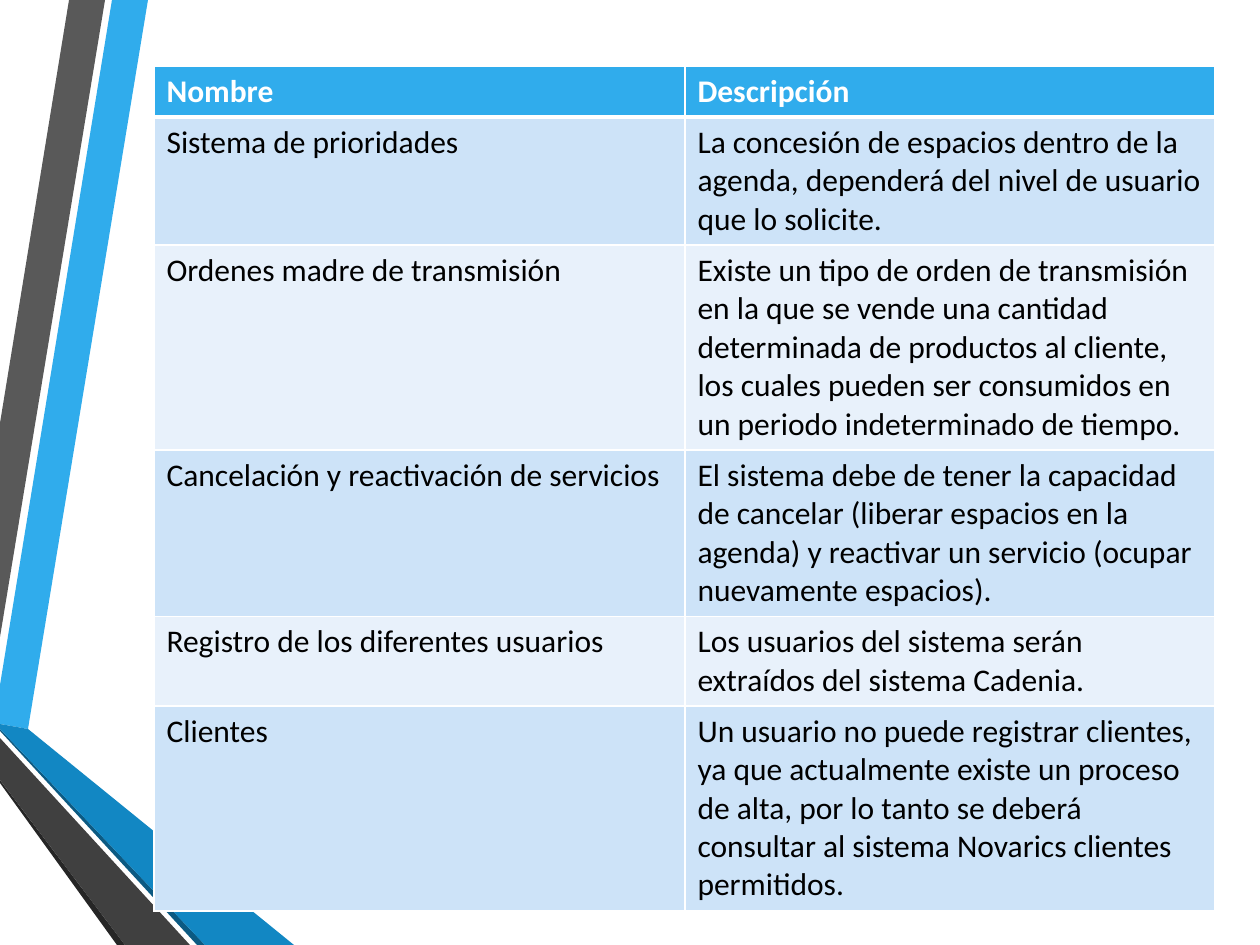
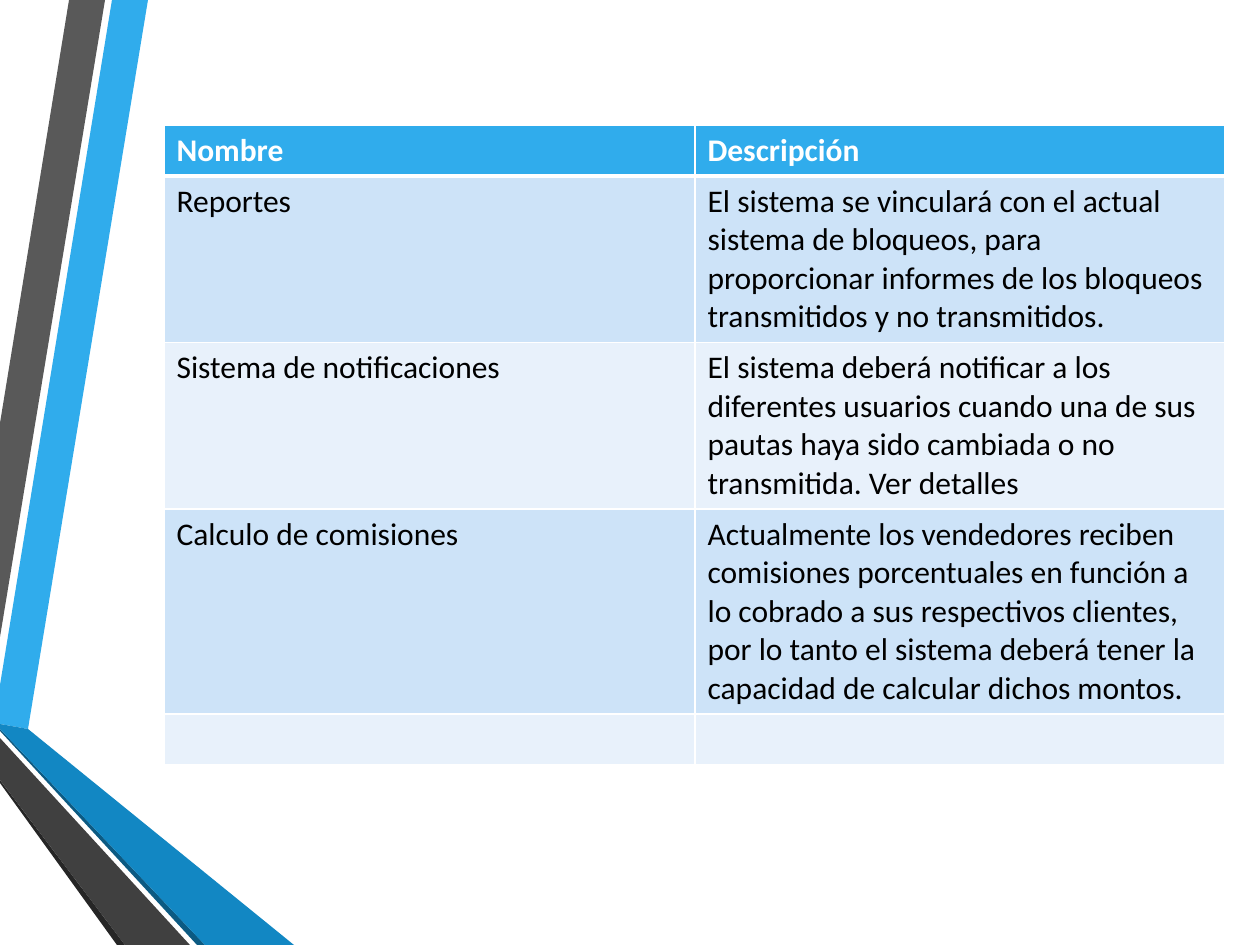
from lxml.etree import SubElement
from pptx import Presentation
from pptx.dml.color import RGBColor
from pptx.oxml.ns import qn
from pptx.util import Pt

SCALE = 914400 / 126
WIDE, HIGH = 1260, 945
COLS, ROW = (531, 530), 51
FONT, SIZE = "Calibri", 18

HUES = {
    "sky": "30ACEC", "blue": "1287C3", "deep": "0C5A82",
    "gray": "595959", "dark": "404040", "coal": "262626",
    "odd": "CDE3F8", "even": "E8F1FB",
    "white": "FFFFFF", "black": "000000",
}

# Ribbons on the left edge, from back to front
BANDS = [
    ("sky", [(0, 685), (0, 724), (28, 729), (148, 0), (112, 0)]),
    ("gray", [(105, 0), (69, 0), (0, 423), (0, 637)]),
    ("coal", [(0, 780), (0, 783), (117, HIGH), (125, HIGH)]),
    ("deep", [(0, 729), (0, 731), (197, HIGH), (205, HIGH)]),
    ("blue", [(0, 729), (205, HIGH), (294, HIGH), (28, 729), (0, 724)]),
    ("dark", [(0, 780), (125, HIGH), (190, HIGH), (0, 738)]),
]

HEAD = ("Nombre", "Descripción")

NEEDS = [
    ("Sistema de prioridades",
     "La concesión de espacios dentro de la agenda, dependerá del nivel de "
     "usuario que lo solicite."),
    ("Ordenes madre de transmisión",
     "Existe un tipo de orden de transmisión en la que se vende una cantidad "
     "determinada de productos al cliente, los cuales pueden ser consumidos "
     "en un periodo indeterminado de tiempo."),
    ("Cancelación y reactivación de servicios",
     "El sistema debe de tener la capacidad de cancelar (liberar espacios en "
     "la agenda) y reactivar un servicio (ocupar nuevamente espacios)."),
    ("Registro de los diferentes usuarios",
     "Los usuarios del sistema serán extraídos del sistema Cadenia."),
    ("Clientes",
     "Un usuario no puede registrar clientes, ya que actualmente existe un "
     "proceso de alta, por lo tanto se deberá consultar al sistema Novarics "
     "clientes permitidos."),
]

MORE = [
    ("Reportes",
     "El sistema se vinculará con el actual sistema de bloqueos, para "
     "proporcionar informes de los bloqueos transmitidos y no transmitidos."),
    ("Sistema de notificaciones",
     "El sistema deberá notificar a los diferentes usuarios cuando una de "
     "sus pautas haya sido cambiada o no transmitida. Ver detalles"),
    ("Calculo de comisiones",
     "Actualmente los vendedores reciben comisiones porcentuales en función "
     "a lo cobrado a sus respectivos clientes, por lo tanto el sistema "
     "deberá tener la capacidad de calcular dichos montos."),
    ("", ""),
]


def emu(px):
    """Turn pixels into EMU."""
    return round(px * SCALE)


def hue(name):
    """Return a named colour."""
    return RGBColor.from_string(HUES[name])


class Deck:
    """Holds the style and the current slide."""

    def __init__(self):
        """Start an empty deck."""
        self.file = Presentation()
        self.file.slide_width = emu(WIDE)
        self.file.slide_height = emu(HIGH)

    def page(self):
        """Add a blank slide with its ribbons."""
        self.slide = self.file.slides.add_slide(self.file.slide_layouts[6])
        for color, dots in BANDS:
            self.band(color, dots)

    def band(self, color, dots):
        """Draw one filled ribbon."""
        pen = self.slide.shapes.build_freeform(*dots[0], scale=SCALE)
        pen.add_line_segments(dots[1:], close=True)
        shape = pen.convert_to_shape()
        shape.shadow.inherit = False
        shape.fill.solid()
        shape.fill.fore_color.rgb = hue(color)
        shape.line.fill.background()

    def edge(self, cell, side, width):
        """Give one side of a cell a white border."""
        line = SubElement(cell._tc.get_or_add_tcPr(), qn("a:ln" + side),
                          w=str(Pt(width)))
        fill = SubElement(line, qn("a:solidFill"))
        SubElement(fill, qn("a:srgbClr"), val=HUES["white"])

    def cell(self, cell, text, row):
        """Fill and style one cell by its row."""
        top = row == 0
        for side in "LRTB":
            thick = (row, side) in ((0, "B"), (1, "T"))
            self.edge(cell, side, 3 if thick else 1)
        cell.fill.solid()
        back = "sky" if top else "odd" if row % 2 else "even"
        cell.fill.fore_color.rgb = hue(back)
        cell.text = text
        font = cell.text_frame.paragraphs[0].font
        font.name, font.size, font.bold = FONT, Pt(SIZE), top
        font.color.rgb = hue("white" if top else "black")

    def table(self, left, top, body):
        """Add a table whose rows grow with their text."""
        rows = [HEAD, *body]
        grid = self.slide.shapes.add_table(
            len(rows), len(COLS), emu(left), emu(top),
            emu(sum(COLS)), emu(ROW * len(rows))).table
        for col, width in zip(grid.columns, COLS):
            col.width = emu(width)
        for r, texts in enumerate(rows):
            grid.rows[r].height = emu(ROW)
            for c, text in enumerate(texts):
                self.cell(grid.cell(r, c), text, r)


deck = Deck()
for left, top, body in ((154, 66, NEEDS), (164, 125, MORE)):
    deck.page()
    deck.table(left, top, body)
deck.file.save("out.pptx")
